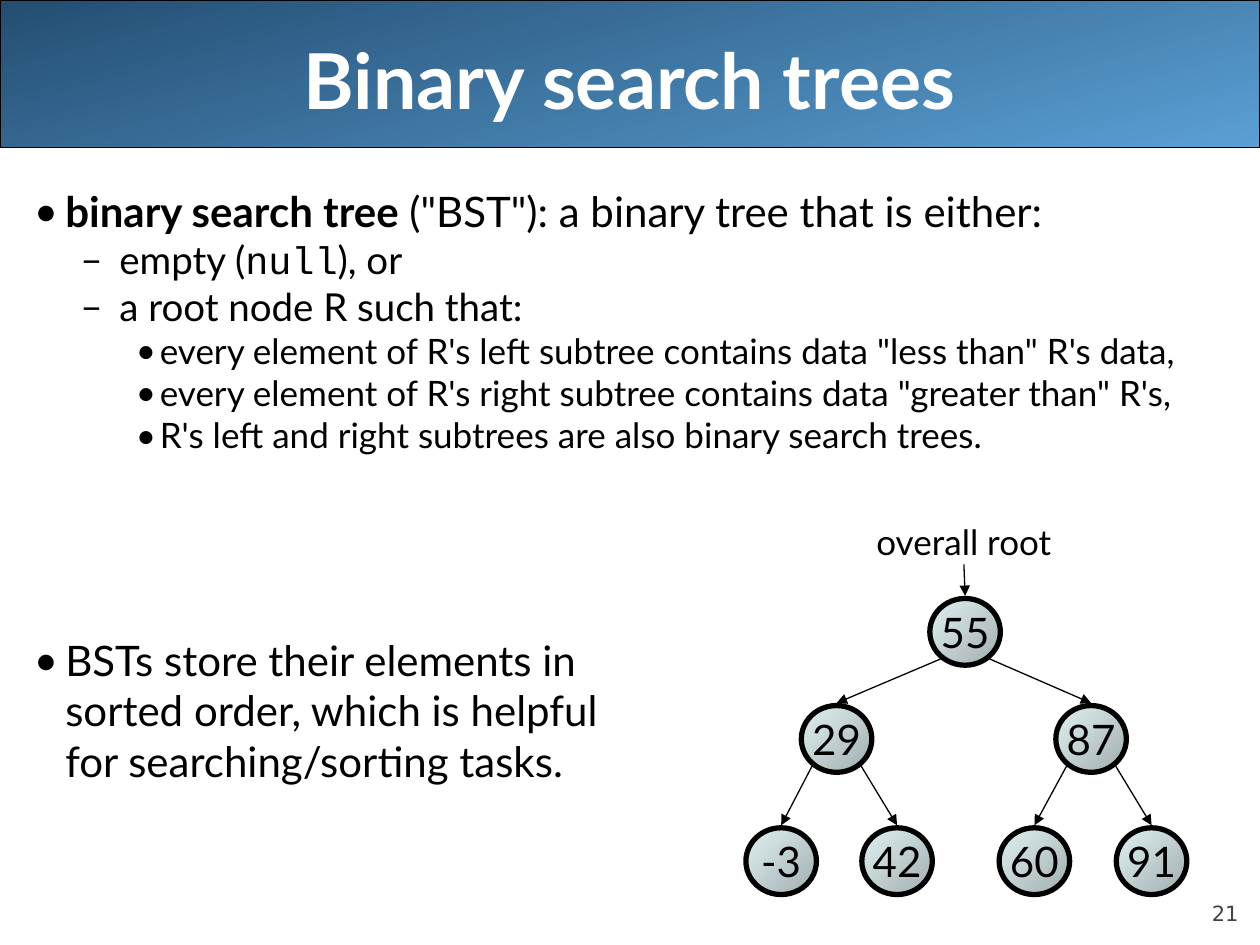
"""Build a slide that defines binary search trees and shows an example tree."""
from lxml.etree import SubElement
from pptx import Presentation
from pptx.dml.color import RGBColor
from pptx.enum.shapes import MSO_CONNECTOR, MSO_SHAPE
from pptx.enum.text import MSO_ANCHOR, PP_ALIGN
from pptx.oxml.ns import qn
from pptx.util import Inches, Pt

THEME = {
    "ink": RGBColor.from_string("000000"),
    "banner": ("244E72", "5A9FD4"),
    "node": ("A1ADAE", "E1F2F3"),
    "title": {"name": "Lato", "size": Pt(44), "bold": True},
    "title_ink": RGBColor.from_string("FFFFFF"),
    "levels": [{"name": "Lato", "size": Pt(size)} for size in (24, 22, 20)],
    "code": {"name": "Courier New", "size": Pt(22)},
    "page": {"name": "DejaVu Sans", "size": Pt(12)},
    "page_ink": RGBColor.from_string("424242"),
}

deck = Presentation()
deck.slide_width, deck.slide_height = Inches(10), Inches(7.5)
slide = deck.slides.add_slide(deck.slide_layouts[6])
col, row = deck.slide_width / 100, deck.slide_height / 75


def place(left, top, width, height):
    return [round(left * col), round(top * row), round(width * col), round(height * row)]


def write(paragraph, text, font, ink=THEME["ink"], align=PP_ALIGN.LEFT):
    paragraph.alignment = align
    for index, line in enumerate(text.split("\n")):
        if index:
            paragraph.add_line_break()
        run = paragraph.add_run()
        run.text = line
        run.font.color.rgb = ink
        for key, value in font.items():
            setattr(run.font, key, value)


tree = slide.shapes.add_group_shape()
nodes = {
    "55": (76.6, 47.5), "29": (66.4, 56), "87": (86.6, 56),
    "-3": (62, 65.7), "42": (71.2, 65.7), "60": (82.1, 65.7), "91": (91.4, 65.7),
}
children = {"55": ("29", "87"), "29": ("-3", "42"), "87": ("60", "91")}
node_width, node_height = 5.6, 5.3

banner = slide.shapes.add_shape(MSO_SHAPE.RECTANGLE, *place(0, 0, 100, 11.7))
gradients = [(banner, THEME["banner"], 285, 0.75)]
for value, (center, top) in nodes.items():
    node = tree.shapes.add_shape(
        MSO_SHAPE.OVAL, *place(center - node_width / 2, top, node_width, node_height))
    node.text_frame.word_wrap = False
    node.text_frame.vertical_anchor = MSO_ANCHOR.MIDDLE
    write(node.text_frame.paragraphs[0], value, THEME["levels"][0], align=PP_ALIGN.CENTER)
    gradients.append((node, THEME["node"], 135, 3))

for shape, colors, angle, outline in gradients:
    shape.shadow.inherit = False
    shape.fill.gradient()
    shape.fill.gradient_angle = angle
    for stop, color in zip(shape.fill.gradient_stops, colors):
        stop.color.rgb = RGBColor.from_string(color)
    shape.line.color.rgb = THEME["ink"]
    shape.line.width = Pt(outline)

arrows = [(76.5, 44.8, 76.6, 47.3)]
for parent, pair in children.items():
    center, top = nodes[parent]
    for child, side in zip(pair, (-1, 1)):
        child_center, child_top = nodes[child]
        arrows.append((center + side * 1.95, top + 4.8, child_center, child_top - 0.2))
for ends in arrows:
    arrow = tree.shapes.add_connector(MSO_CONNECTOR.STRAIGHT, *place(*ends))
    arrow.line.color.rgb = THEME["ink"]
    arrow.line.width = Pt(0.75)
    properties = arrow._element.spPr
    SubElement(properties.find(qn("a:ln")), qn("a:tailEnd"), type="triangle")
    SubElement(properties, qn("a:effectLst"))

no_margins = dict.fromkeys(("margin_left", "margin_top", "margin_right", "margin_bottom"), 0)
labels = [
    (slide, "Binary search trees", (5, 0, 90, 12.5), THEME["title"], THEME["title_ink"],
     PP_ALIGN.CENTER, {"vertical_anchor": MSO_ANCHOR.MIDDLE}),
    (slide, "21", (90, 69.5, 8.3, 4), THEME["page"], THEME["page_ink"],
     PP_ALIGN.RIGHT, {"vertical_anchor": MSO_ANCHOR.BOTTOM, **no_margins}),
    (tree, "overall root", (68, 40.8, 17, 4.4), THEME["levels"][2], THEME["ink"],
     PP_ALIGN.CENTER, {}),
]
for parent, text, area, font, ink, align, formats in labels:
    label = parent.shapes.add_textbox(*place(*area)).text_frame
    for key, value in {"word_wrap": True, **formats}.items():
        setattr(label, key, value)
    write(label.paragraphs[0], text, font, ink, align)

bullets = [("•", 0.25, -0.25, 1, 6), ("–", 0.68, -0.31, 0.8, 5.5), ("•", 1, -0.19, 0.8, 5)]
first, second, third = THEME["levels"]
points = [
    (0, [("binary search tree", {**first, "bold": True}),
         (" (\"BST\"): a binary tree that is either:", first)]),
    (1, [("empty (", second), ("null", THEME["code"]), ("), or", second)]),
    (1, [("a root node R such that:", second)]),
    (2, [("every element of R's left subtree contains data \"less than\" R's data,", third)]),
    (2, [("every element of R's right subtree contains data \"greater than\" R's,", third)]),
    (2, [("R's left and right subtrees are also binary search trees.", third)]),
    (0, [("BSTs store their elements in\nsorted order, which is helpful\n"
          "for searching/sorting tasks.", first)]),
]
body = slide.shapes.add_textbox(*place(1.7, 14.2, 98.3, 56.7)).text_frame
body.word_wrap = True
for index, (level, runs) in enumerate(points):
    point = body.add_paragraph() if index else body.paragraphs[0]
    mark, margin, indent, spacing, before = bullets[level]
    formats = {"level": level, "line_spacing": spacing, "space_before": Pt(before)}
    for key, value in formats.items():
        setattr(point, key, value)
    for text, font in runs:
        write(point, text, font)
    settings = point._p.get_or_add_pPr()
    settings.set("marL", str(Inches(margin)))
    settings.set("indent", str(Inches(indent)))
    SubElement(settings, qn("a:buFont"), typeface="Lato")
    SubElement(settings, qn("a:buChar"), char=mark)
point.space_before = Pt(102)

deck.save("out.pptx")
